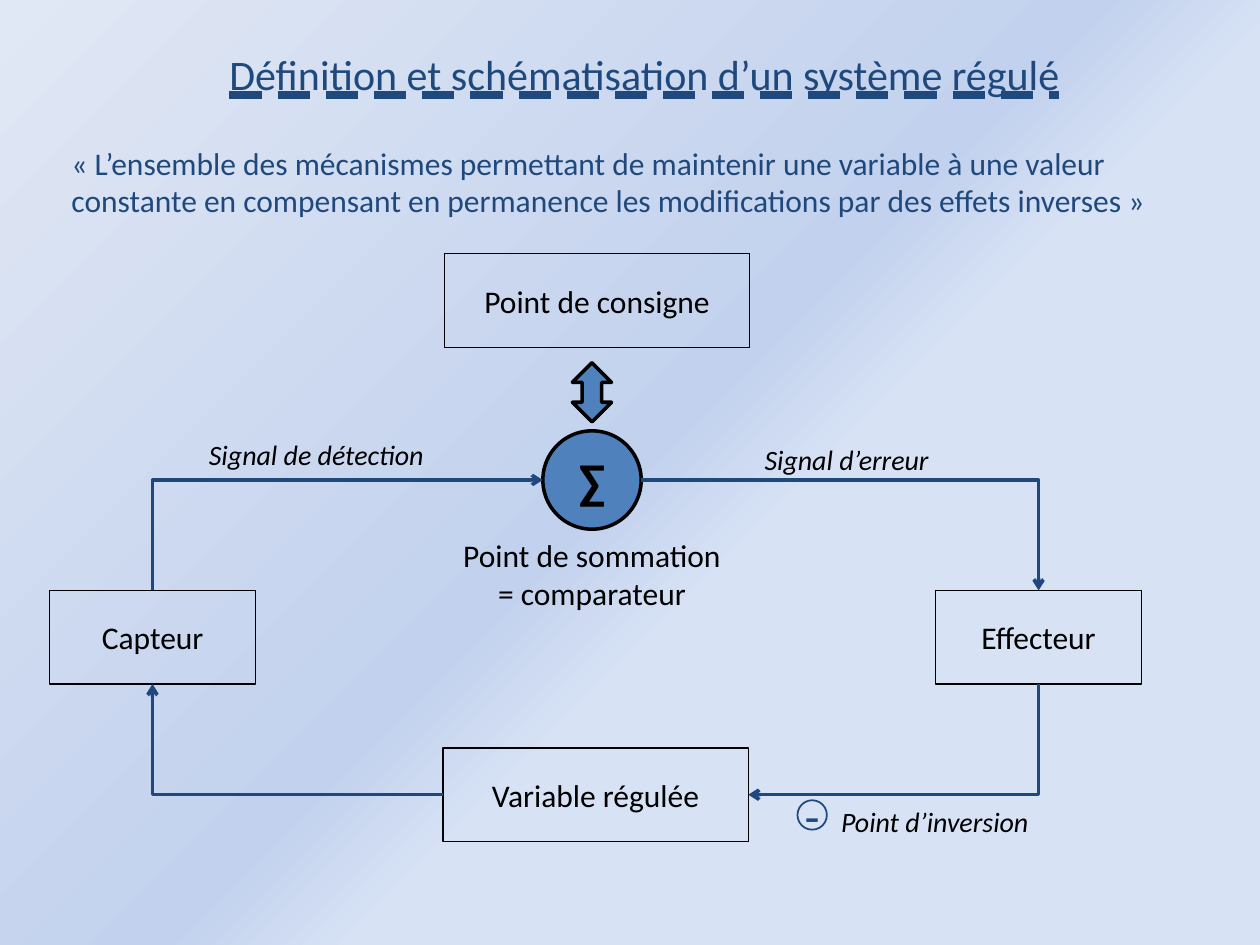
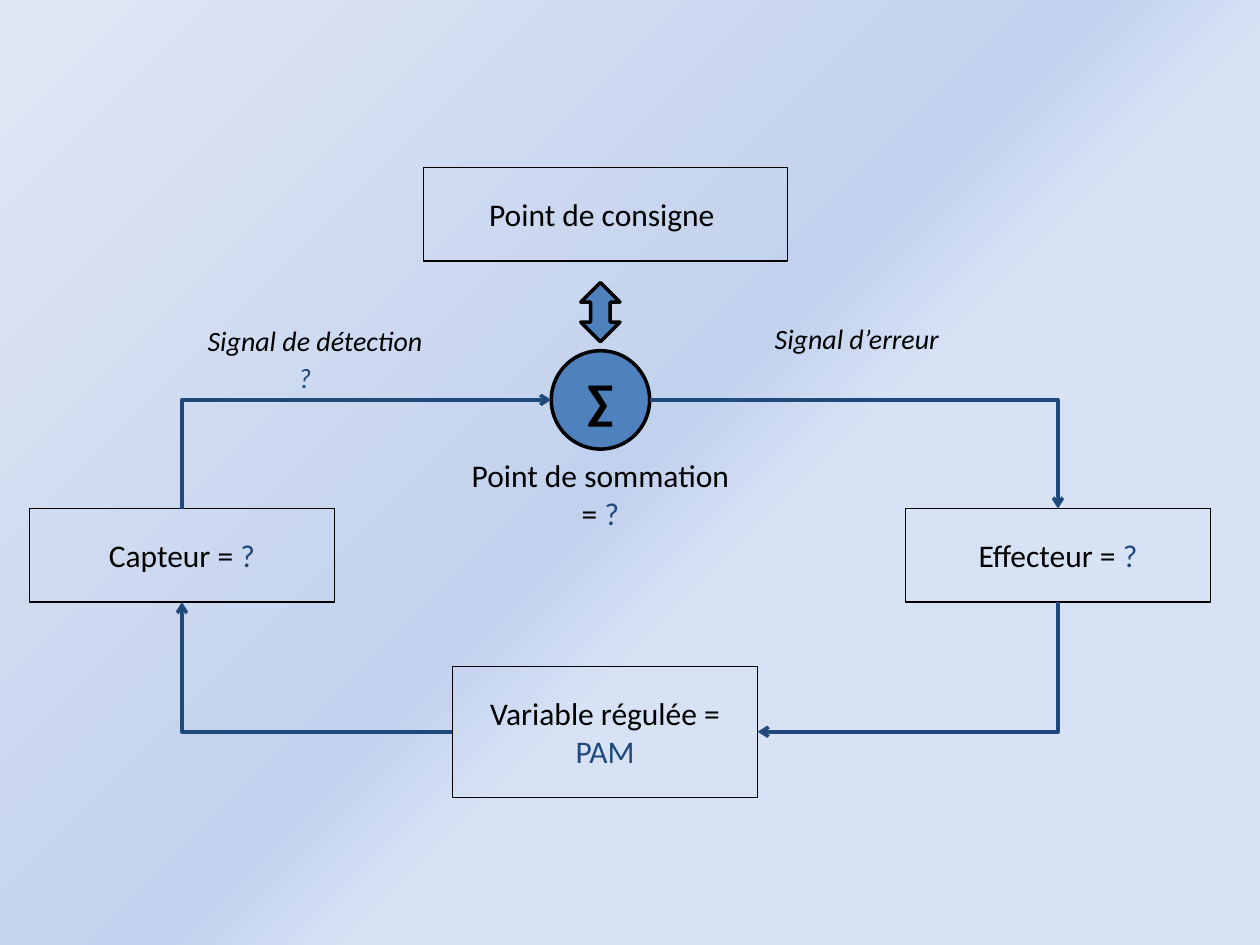
from copy import deepcopy
from dataclasses import dataclass

from lxml import etree
from pptx import Presentation
from pptx.dml.color import RGBColor
from pptx.enum import shapes, text
from pptx.oxml.ns import qn
from pptx.util import Pt


@dataclass(frozen=True)
class Theme:
    font: str = "Calibri"
    ink: str = "000000"
    accent: str = "1F497D"
    sum_fill: str = "4F81BD"
    backdrop: tuple = ((0, "E1E8F5"), (0.5, "C2D1ED"), (0.59, "D7E2F5"), (1, "D7E2F5"))
    title: int = 24
    body: int = 18
    signal: int = 16
    symbol: int = 28
    thin: float = 0.75
    ring: float = 1
    thick: float = 2


theme = Theme()


def write(frame, lines, size=theme.body, color=theme.ink, bold=False, italic=False,
          underline=None, align=text.PP_ALIGN.CENTER, anchor=text.MSO_ANCHOR.MIDDLE,
          inset=None, wrap=True):
    """Fill a frame; each line is a string or a (plain, accented) pair."""
    frame.word_wrap = wrap
    frame.auto_size = text.MSO_AUTO_SIZE.NONE
    frame.vertical_anchor = anchor
    if inset is not None:
        frame.margin_left = frame.margin_right = Pt(inset)
        frame.margin_top = frame.margin_bottom = Pt(inset)
    for index, line in enumerate(lines):
        paragraph = frame.add_paragraph() if index else frame.paragraphs[0]
        paragraph.alignment = align
        parts = (line,) if isinstance(line, str) else line
        for part, part_color in zip(parts, (color, theme.accent)):
            run = paragraph.add_run()
            run.text = part
            run.font.name = theme.font
            run.font.size = Pt(size)
            run.font.bold = bold
            run.font.italic = italic
            run.font.underline = underline
            run.font.color.rgb = RGBColor.from_string(part_color)


def draw(slide, kind, frame, line=theme.ink, width=theme.thin, fill=None):
    shape = slide.shapes.add_shape(kind, *map(Pt, frame))
    shape.shadow.inherit = False
    if fill:
        shape.fill.solid()
        shape.fill.fore_color.rgb = RGBColor.from_string(fill)
    else:
        shape.fill.background()
    shape.line.color.rgb = RGBColor.from_string(line)
    shape.line.width = Pt(width)
    return shape


prs = Presentation()
prs.slide_width, prs.slide_height = Pt(720), Pt(540)

# Shared diagonal backdrop
backdrop = prs.slide_master.background.fill
backdrop.gradient()
backdrop.gradient_angle = 315
stop_list = prs.slide_master.element.xpath(".//p:bg//a:gsLst")[0]
while len(stop_list) < len(theme.backdrop):
    stop_list.append(deepcopy(stop_list[0]))
for stop, (position, color) in zip(backdrop.gradient_stops, theme.backdrop):
    stop.position = position
    stop.color.rgb = RGBColor.from_string(color)

# Slide content: boxes as (lines, frame), signals as (lines, left, top, width)
loops = [
    dict(
        layout=5, center=(338.3, 274.3), summation="= comparateur",
        setpoint=("Point de consigne", (254, 145, 174.4, 53.5)),
        sensor=("Capteur", (28.2, 337.4, 118, 53.5)),
        effector=("Effecteur", (534.5, 337.4, 118, 53.5)),
        variable=("Variable régulée", (253.2, 427.4, 174.4, 53.5)),
        signals=[("Signal de détection", 90.7, 246.2, 180),
                 ("Signal d’erreur", 393.8, 249.1, 180),
                 ("Point d’inversion", 466.5, 455.8, 135.4)],
    ),
    dict(
        layout=6, center=(343.1, 228.5), summation=("= ", "?"),
        setpoint=("Point de consigne ", (242, 95.7, 208, 53.5)),
        sensor=(("Capteur = ", "?"), (16.8, 290.6, 174.4, 53.5)),
        effector=(("Effecteur = ", "?"), (517.4, 290.6, 174.4, 53.5)),
        variable=(("Variable régulée = ", "PAM"), (258.6, 380.7, 174.4, 75)),
        signals=[("Signal de détection", 90, 181.4, 180),
                 ("Signal d’erreur", 399.6, 180, 180),
                 (("", "?"), 84.2, 202.3, 180)],
    ),
]
TOP, LEFT, BOTTOM, RIGHT = range(4)
ELLIPSE_LEFT, ELLIPSE_RIGHT = 2, 6
SUM_SIZE = 56.2

for loop in loops:
    slide = prs.slides.add_slide(prs.slide_layouts[loop["layout"]])
    cx, cy = loop["center"]

    # Boxes of the regulation loop
    box = {}
    for role in ("setpoint", "sensor", "effector", "variable"):
        label, frame = loop[role]
        box[role] = draw(slide, shapes.MSO_SHAPE.RECTANGLE, frame)
        write(box[role].text_frame, [label])

    # Summing point with its double arrow and caption
    draw(slide, shapes.MSO_SHAPE.UP_DOWN_ARROW, (cx - 11.2, cy - 67, 22.4, 33.8),
         width=theme.thick, fill=theme.sum_fill)
    summing = draw(slide, shapes.MSO_SHAPE.OVAL,
                   (cx - SUM_SIZE / 2, cy - SUM_SIZE / 2, SUM_SIZE, SUM_SIZE),
                   width=theme.thick, fill=theme.sum_fill)
    write(summing.text_frame, ["∑"], size=theme.symbol, bold=True, inset=0, wrap=False)
    caption = slide.shapes.add_textbox(Pt(cx - 90), Pt(cy + 28), Pt(180), Pt(51))
    write(caption.text_frame, ["Point de sommation", loop["summation"]])

    # Links run sideways from the middle column, then turn to a side box
    links = [
        (summing, ELLIPSE_LEFT, LEFT, "sensor", TOP, "headEnd"),
        (summing, ELLIPSE_RIGHT, RIGHT, "effector", TOP, "tailEnd"),
        (box["variable"], LEFT, LEFT, "sensor", BOTTOM, "tailEnd"),
        (box["variable"], RIGHT, RIGHT, "effector", BOTTOM, "headEnd"),
    ]
    for middle, site, side, role, edge, arrow in links:
        target = box[role]
        link = slide.shapes.add_connector(
            shapes.MSO_CONNECTOR.ELBOW,
            middle.left + (middle.width if side == RIGHT else 0),
            middle.top + middle.height // 2,
            target.left + target.width // 2,
            target.top + (target.height if edge == BOTTOM else 0))
        link.line.color.rgb = RGBColor.from_string(theme.accent)
        link.line.width = Pt(theme.thick)
        link.element.xpath(".//a:prstGeom")[0].set("prst", "bentConnector2")
        etree.SubElement(link.element.xpath(".//a:ln")[0], qn(f"a:{arrow}"), type="arrow")
        etree.SubElement(link.element.spPr, qn("a:effectLst"))
        glue = link.element.xpath(".//p:cNvCxnSpPr")[0]
        for tag, shape, index in (("a:stCxn", middle, site), ("a:endCxn", target, edge)):
            etree.SubElement(glue, qn(tag), id=str(shape.shape_id), idx=str(index))

    # Signal names
    for label, left, top, width in loop["signals"]:
        signal = slide.shapes.add_textbox(Pt(left), Pt(top), Pt(width), Pt(26.6))
        write(signal.text_frame, [label], size=theme.signal, italic=True)

# Title, definition and inversion sign of the first slide
definition_slide = prs.slides[0]
title = definition_slide.shapes.title
title.left, title.top, title.width, title.height = map(Pt, (106.5, 22.5, 523.5, 39.5))
write(title.text_frame, ["Définition et schématisation d’un système régulé"],
      size=theme.title, color=theme.accent, inset=0,
      underline=text.MSO_UNDERLINE.DASH_HEAVY_LINE)

definition = definition_slide.shapes.add_textbox(Pt(33.8), Pt(78.5), Pt(669.6), Pt(51))
write(definition.text_frame,
      ["« L’ensemble des mécanismes permettant de maintenir une variable à une valeur "
       "constante en compensant en permanence les modifications par des effets inverses »"],
      color=theme.accent, align=text.PP_ALIGN.LEFT, anchor=text.MSO_ANCHOR.TOP)

inversion = draw(definition_slide, shapes.MSO_SHAPE.OVAL, (455.7, 457.3, 16.8, 16.8),
                 line=theme.accent, width=theme.ring)
write(inversion.text_frame, ["-"], size=theme.symbol, color=theme.accent, inset=0, wrap=False)

prs.save("out.pptx")
